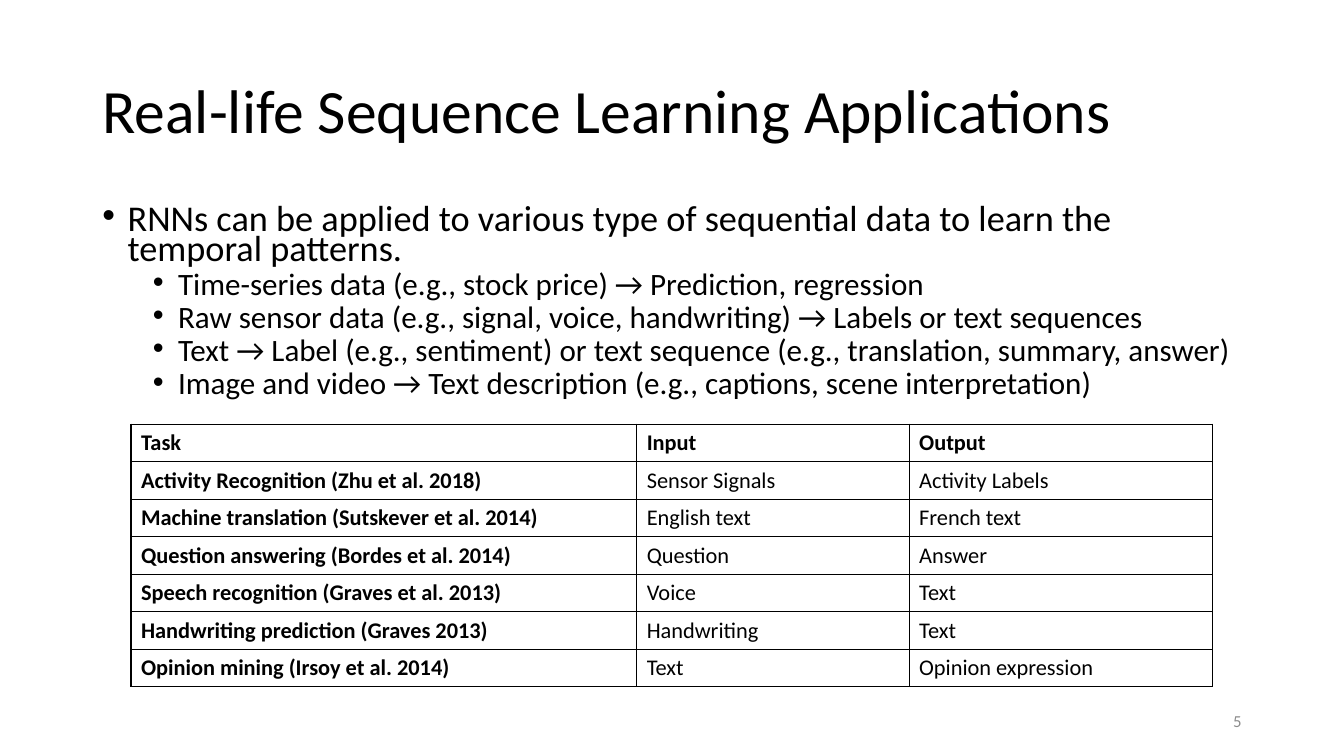
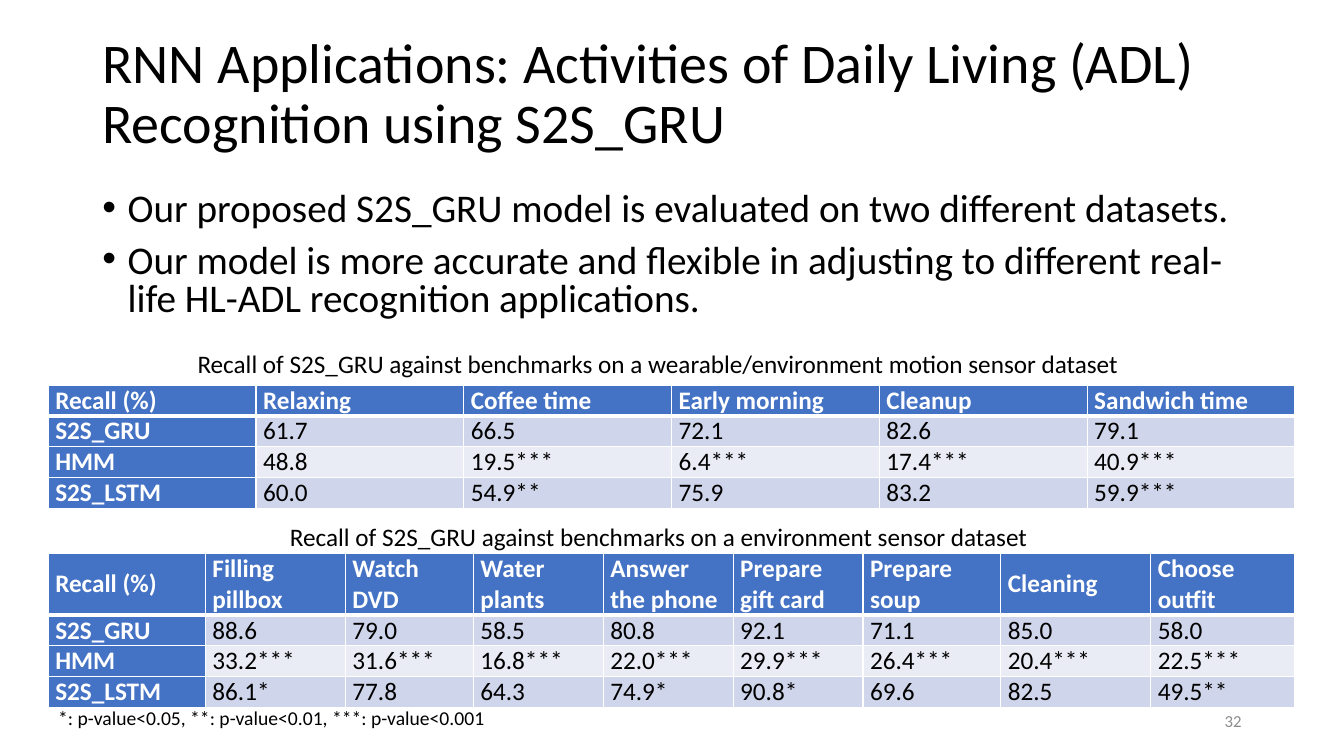
from dataclasses import dataclass
from typing import Any, Optional

from lxml.etree import SubElement as sub
from pptx import Presentation
from pptx.dml.color import RGBColor as RGB
from pptx.enum.text import MSO_ANCHOR as ANCHOR
from pptx.enum.text import MSO_AUTO_SIZE as AUTO
from pptx.enum.text import PP_ALIGN as ALIGN
from pptx.oxml.ns import qn
from pptx.util import Pt

# Shared look
FONT = "Calibri"
COLORS = {
    "text": "000000",
    "number": "8C8C8C",
    "white": "FFFFFF",
    "header": "4472C4",
    "band_dark": "CFD5EA",
    "band_light": "E9EBF5",
}
MARGIN, CONTENT_W = 66, 828
TABLE_X, TABLE_W = 34.5, 890.6
INDENT = 18


@dataclass
class Bullet:
    text: str
    level: int = 0


@dataclass
class BodyStyle:
    top: float
    height: float
    sizes: tuple[float, ...]
    line_spacing: float


@dataclass
class Label:
    text: str
    left: float
    top: float
    width: float
    height: float
    size: float = 18


@dataclass
class TableStyle:
    size: float
    border: str
    rule: float  # width of the line below the header row
    header_text: str
    header_fill: Optional[str] = None
    bands: tuple[Optional[str], ...] = (None,)
    margins: Optional[tuple[float, float]] = None  # side, top and bottom
    anchor: Any = ANCHOR.TOP


PLAIN = TableStyle(16, "text", 1, "text")
BANDED = TableStyle(18, "white", 3, "white", "header",
                    ("band_dark", "band_light"), (5, 0), ANCHOR.MIDDLE)


# Text helpers
def set_all(obj: Any, values: dict[str, Any]) -> None:
    for name, value in values.items():
        setattr(obj, name, value)


def add_run(p: Any, text: str, size: float, color: str = "text",
            bold: bool = False) -> None:
    r = p.add_run()
    r.text = text
    set_all(r.font, {"name": FONT, "size": Pt(size), "bold": bold})
    r.font.color.rgb = RGB.from_string(COLORS[color])


def place(sp: Any, left: float, top: float, width: float, height: float) -> None:
    set_all(sp, {"left": Pt(left), "top": Pt(top),
                 "width": Pt(width), "height": Pt(height)})


# Parts found on every slide
def add_title(slide: Any, text: str, top: float, size: float) -> None:
    sp = slide.shapes.title
    place(sp, MARGIN, top, CONTENT_W, 104.4)
    tf = sp.text_frame
    set_all(tf, {"auto_size": AUTO.NONE, "vertical_anchor": ANCHOR.MIDDLE})
    p = tf.paragraphs[0]
    set_all(p, {"alignment": ALIGN.LEFT, "line_spacing": 0.9})
    add_run(p, text, size)


def add_body(slide: Any, bullets: list[Bullet], style: BodyStyle) -> None:
    sp = slide.placeholders[1]
    place(sp, MARGIN, style.top, CONTENT_W, style.height)
    tf = sp.text_frame
    tf.auto_size = AUTO.NONE
    for i, bullet in enumerate(bullets):
        p = tf.add_paragraph() if i else tf.paragraphs[0]
        set_all(p, {"level": bullet.level, "line_spacing": style.line_spacing,
                    "space_before": Pt(5 if bullet.level else 10),
                    "space_after": Pt(0)})
        pPr = p._p.get_or_add_pPr()
        pPr.set("marL", str(Pt(INDENT * (1 + 2 * bullet.level))))
        pPr.set("indent", str(-Pt(INDENT)))
        sub(pPr, qn("a:buFont"), typeface="Arial")
        sub(pPr, qn("a:buChar"), char="•")
        add_run(p, bullet.text, style.sizes[bullet.level])


def add_number(slide: Any, number: int) -> None:
    tf = slide.shapes.add_textbox(Pt(678), Pt(500.5), Pt(216), Pt(28.8)).text_frame
    set_all(tf, {"word_wrap": True, "vertical_anchor": ANCHOR.MIDDLE})
    p = tf.paragraphs[0]
    p.alignment = ALIGN.RIGHT
    add_run(p, str(number), 12, "number")


def add_label(slide: Any, label: Label) -> None:
    sp = slide.shapes.add_textbox(Pt(label.left), Pt(label.top),
                                  Pt(label.width), Pt(label.height))
    tf = sp.text_frame
    set_all(tf, {"word_wrap": False, "auto_size": AUTO.SHAPE_TO_FIT_TEXT})
    add_run(tf.paragraphs[0], label.text, label.size)


# Tables
def set_borders(cell: Any, color: str, top: float, bottom: float) -> None:
    tcPr = cell._tc.get_or_add_tcPr()
    for side, width in {"L": 1, "R": 1, "T": top, "B": bottom}.items():
        ln = sub(tcPr, qn(f"a:ln{side}"), w=str(Pt(width)))
        fill = sub(ln, qn("a:solidFill"))
        sub(fill, qn("a:srgbClr"), val=COLORS[color])


def format_cell(cell: Any, text: str, row: int, col: int, style: TableStyle) -> None:
    head = row == 0 or col == 0
    set_borders(cell, style.border, style.rule if row == 1 else 1,
                style.rule if row == 0 else 1)
    fill = style.header_fill if head else style.bands[(row - 1) % len(style.bands)]
    if fill:
        cell.fill.solid()
        cell.fill.fore_color.rgb = RGB.from_string(COLORS[fill])
    else:
        cell.fill.background()
    cell.vertical_anchor = style.anchor
    if style.margins:
        side, edge = map(Pt, style.margins)
        set_all(cell, {"margin_left": side, "margin_right": side,
                       "margin_top": edge, "margin_bottom": edge})
    add_run(cell.text_frame.paragraphs[0], text, style.size,
            style.header_text if head else "text", head)


def add_grid(slide: Any, left: float, top: float, widths: list[float],
             heights: list[float], data: list[list[str]], style: TableStyle) -> None:
    table = slide.shapes.add_table(len(data), len(widths), Pt(left), Pt(top),
                                   Pt(sum(widths)), Pt(sum(heights))).table
    set_all(table, {"first_row": False, "horz_banding": False})
    for column, width in zip(table.columns, widths):
        column.width = Pt(width)
    for i, (height, values) in enumerate(zip(heights, data)):
        table.rows[i].height = Pt(height)
        for j, text in enumerate(values):
            format_cell(table.cell(i, j), text, i, j, style)


# Content
APPLICATION_BULLETS = [
    Bullet("RNNs can be applied to various type of sequential data to learn the "
           "temporal patterns."),
    Bullet("Time-series data (e.g., stock price) → Prediction, regression", 1),
    Bullet("Raw sensor data (e.g., signal, voice, handwriting) → Labels or text "
           "sequences", 1),
    Bullet("Text → Label (e.g., sentiment) or text sequence (e.g., translation, "
           "summary, answer)", 1),
    Bullet("Image and video → Text description (e.g., captions, scene "
           "interpretation)", 1),
]
TASKS = [
    ["Task", "Input", "Output"],
    ["Activity Recognition (Zhu et al. 2018)", "Sensor Signals", "Activity Labels"],
    ["Machine translation (Sutskever et al. 2014)", "English text", "French text"],
    ["Question answering (Bordes et al. 2014)", "Question", "Answer"],
    ["Speech recognition (Graves et al. 2013)", "Voice", "Text"],
    ["Handwriting prediction (Graves 2013)", "Handwriting", "Text"],
    ["Opinion mining (Irsoy et al. 2014)", "Text", "Opinion expression"],
]
ADL_BULLETS = [
    Bullet("Our proposed S2S_GRU model is evaluated on two different datasets."),
    Bullet("Our model is more accurate and flexible in adjusting to different "
           "real-life HL-ADL recognition applications."),
]
MOTION_RECALL = [
    ["Recall (%)", "Relaxing", "Coffee time", "Early morning", "Cleanup",
     "Sandwich time"],
    ["S2S_GRU", "61.7", "66.5", "72.1", "82.6", "79.1"],
    ["HMM", "48.8", "19.5***", "6.4***", "17.4***", "40.9***"],
    ["S2S_LSTM", "60.0", "54.9**", "75.9", "83.2", "59.9***"],
]
ENVIRONMENT_RECALL = [
    ["Recall (%)", "Filling pillbox", "Watch DVD", "Water plants",
     "Answer the phone", "Prepare gift card", "Prepare soup", "Cleaning",
     "Choose outfit"],
    ["S2S_GRU", "88.6", "79.0", "58.5", "80.8", "92.1", "71.1", "85.0", "58.0"],
    ["HMM", "33.2***", "31.6***", "16.8***", "22.0***", "29.9***", "26.4***",
     "20.4***", "22.5***"],
    ["S2S_LSTM", "86.1*", "77.8", "64.3", "74.9*", "90.8*", "69.6", "82.5",
     "49.5**"],
]
ENVIRONMENT_WIDTHS = [112.3, 100, 91.4, 92.8, 92.8, 92.8, 98.4, 107.2, 102.9]
ADL_LABELS = [
    Label("Recall of S2S_GRU against benchmarks on a wearable/environment motion "
          "sensor dataset", 134, 245.5, 680, 29),
    Label("Recall of S2S_GRU against benchmarks on a environment sensor dataset",
          200, 368.6, 547, 29),
    Label("*: p-value<0.05, **: p-value<0.01, ***: p-value<0.001",
          TABLE_X, 500.4, 322.6, 24.5, 14),
]


# Slides
def build_applications(slide: Any) -> None:
    add_title(slide, "Real-life Sequence Learning Applications", 29, 44)
    add_body(slide, APPLICATION_BULLETS, BodyStyle(144, 158.4, (25.9, 22.2), 0.7))
    add_number(slide, 5)
    add_grid(slide, 93.6, 303, [361.2, 194.6, 216.6], [26.8] * len(TASKS),
             TASKS, PLAIN)


def build_adl(slide: Any) -> None:
    add_title(slide, "RNN Applications: Activities of Daily Living (ADL) "
              "Recognition using S2S_GRU", 16, 40)
    add_body(slide, ADL_BULLETS, BodyStyle(134, 104.4, (28,), 0.8))
    add_number(slide, 32)
    columns = len(MOTION_RECALL[0])
    add_grid(slide, TABLE_X, 275, [TABLE_W / columns] * columns, [22] * 4,
             MOTION_RECALL, BANDED)
    add_grid(slide, TABLE_X, 395.3, ENVIRONMENT_WIDTHS, [44, 22, 22, 22],
             ENVIRONMENT_RECALL, BANDED)
    for label in ADL_LABELS:
        add_label(slide, label)


def main() -> None:
    prs = Presentation()
    set_all(prs, {"slide_width": Pt(960), "slide_height": Pt(540)})
    for build in (build_applications, build_adl):
        build(prs.slides.add_slide(prs.slide_layouts[1]))
    prs.save("out.pptx")


if __name__ == "__main__":
    main()
